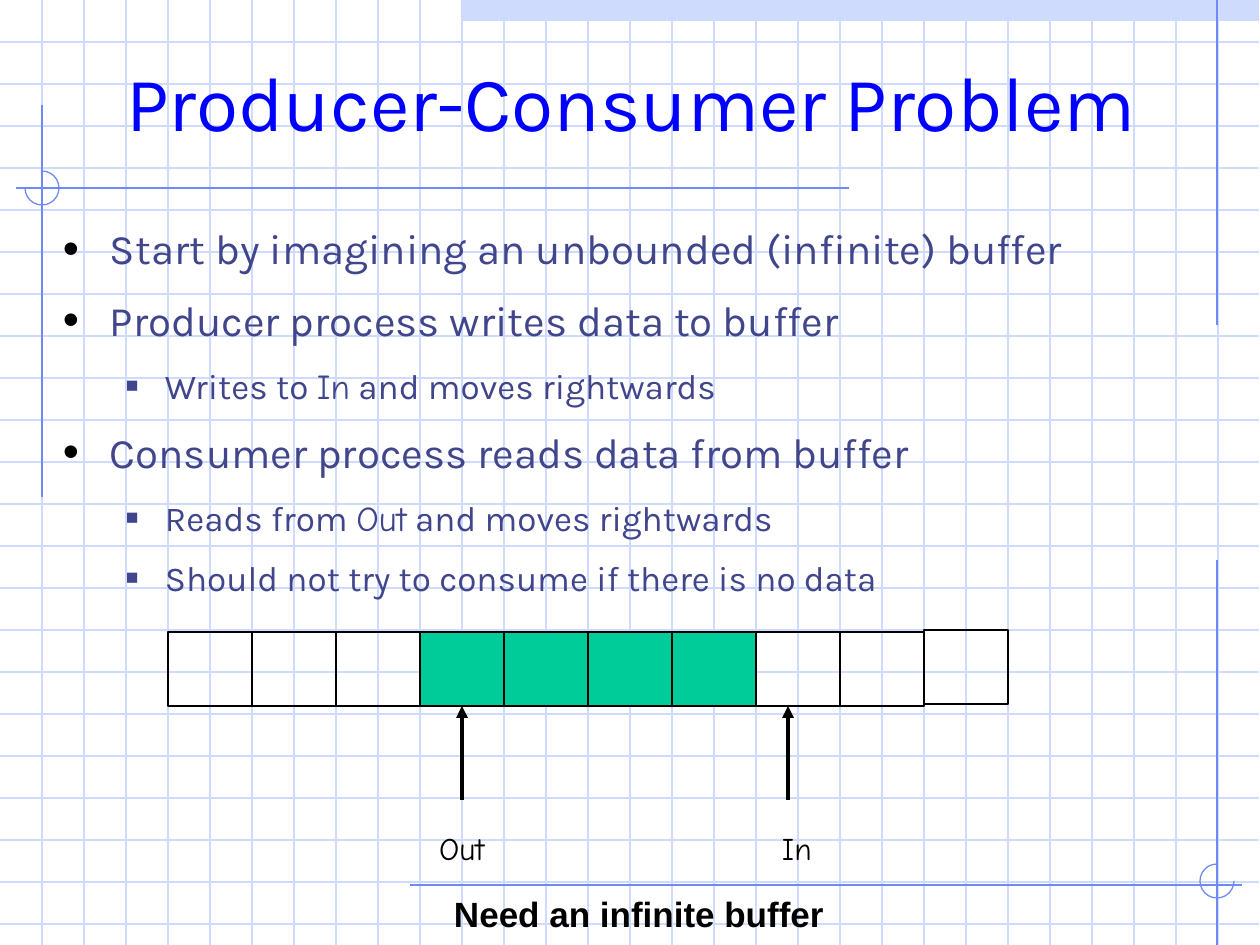
import pptx
import pptx.util
import pptx.dml.color
import pptx.enum.shapes
import pptx.enum.text
import pptx.oxml.ns
import lxml.etree

SCALE = 914400 / 126
SHAPE = pptx.enum.shapes.MSO_SHAPE
ANCHOR = pptx.enum.text.MSO_ANCHOR
BLACK, GRID, RULE, TEXT, FULL = "000000", "CFDBFD", "6F89F7", "40458C", "00CC99"

TITLE = "Producer-Consumer Problem"
BULLETS = [
    (0, ["Start by imagining an unbounded (infinite) buffer"]),
    (0, ["Producer process writes data to buffer"]),
    (1, ["Writes to ", "In", " and moves rightwards"]),
    (0, ["Consumer process reads data from buffer"]),
    (1, ["Reads from ", "Out", " and moves rightwards"]),
    (1, ["Should not try to consume if there is no data"]),
]
LEVELS = [
    dict(size=24, before=8, after=3, bullet=("•", BLACK, 110, 47, 47)),
    dict(size=20, before=7, after=2.5, bullet=("■", TEXT, 60, 102, 39)),
]
RULES = [
    (1217, 0, 1217, 325), (42, 105, 42, 497), (849, 188, 16, 188),
    (410, 885, 1242, 885), (1217, 560, 1217, 955),
]
ARCS = [(25, 171, 270, 180), (1200, 864, 0, 270)]
CELLS = [False] * 3 + [True] * 4 + [False] * 3
CELL_X, CELL_Y, CELL_W, CELL_H = 168, 632, 84, 74
LAST_RISE = 2
ARROW_FOOT = 800
LABELS = [
    ("Out", (426, 810, 71, 63), dict(size=18, font="Comic Neue")),
    ("In", (769, 810, 54, 63), dict(size=18, font="Comic Neue")),
    ("Need an infinite buffer", (441, 872, 396, 69), dict(size=20, font="Arial", bold=True)),
]


def px(n):
    return pptx.util.Emu(round(n * SCALE))


def rgb(color):
    return pptx.dml.color.RGBColor.from_string(color)


def child(parent, tag, **attrs):
    return lxml.etree.SubElement(parent, pptx.oxml.ns.qn(tag), attrs)


def add_line(s, x1, y1, x2, y2, color, width=0.75, arrow=False):
    c = s.shapes.add_connector(
        pptx.enum.shapes.MSO_CONNECTOR.STRAIGHT, px(x1), px(y1), px(x2), px(y2))
    c.line.color.rgb = rgb(color)
    c.line.width = pptx.util.Pt(width)
    if arrow:
        child(c.line._get_or_add_ln(), "a:tailEnd", type="triangle")
    child(c._element.spPr, "a:effectLst")
    return c


def add_shape(s, kind, x, y, w, h, fill=None, line=None):
    sp = s.shapes.add_shape(kind, px(x), px(y), px(w), px(h))
    sp.shadow.inherit = False
    if fill:
        sp.fill.solid()
        sp.fill.fore_color.rgb = rgb(fill)
    else:
        sp.fill.background()
    if line:
        sp.line.color.rgb = rgb(line)
        sp.line.width = pptx.util.Pt(0.75)
    else:
        sp.line.fill.background()
    return sp


def set_frame(sp, margins=(0, 0), wrap=True, anchor=ANCHOR.TOP):
    tf = sp.text_frame
    tf.margin_left = tf.margin_right = px(margins[0])
    tf.margin_top = tf.margin_bottom = px(margins[1])
    tf.word_wrap = wrap
    tf.auto_size = pptx.enum.text.MSO_AUTO_SIZE.NONE
    tf.vertical_anchor = anchor
    return tf


def write(p, text, size=20, font="Karla", alt="Comic Neue", color=BLACK, bold=False,
          spacing=1.04, before=0, after=0, bullet=None):
    p.alignment = pptx.enum.text.PP_ALIGN.LEFT
    p.line_spacing = spacing
    p.space_before = pptx.util.Pt(before)
    p.space_after = pptx.util.Pt(after)
    if bullet:
        mark, mark_color, percent, left, hang = bullet
        pPr = p._p.get_or_add_pPr()
        pPr.set("marL", str(px(left)))
        pPr.set("indent", str(-px(hang)))
        child(child(pPr, "a:buClr"), "a:srgbClr", val=mark_color)
        child(pPr, "a:buSzPct", val=str(percent * 1000))
        child(pPr, "a:buFont", typeface="Arial")
        child(pPr, "a:buChar", char=mark)
    for i, part in enumerate([text] if isinstance(text, str) else text):
        r = p.add_run()
        r.text = part
        r.font.size = pptx.util.Pt(size)
        r.font.name = alt if i % 2 else font
        r.font.bold = bold
        r.font.color.rgb = rgb(color)


def add_background(s):
    add_shape(s, SHAPE.RECTANGLE, 461, 0, 798, 21, fill=GRID)
    for y in range(42, 945, 42):
        add_line(s, 0, y, 1259, y, GRID)
    for x in range(42, 1259, 42):
        add_line(s, x, 0, x, 945, GRID)
    for ends in RULES:
        add_line(s, *ends, RULE)
    for x, y, start, end in ARCS:
        arc = add_shape(s, SHAPE.ARC, x, y, 34, 34, line=RULE)
        arc.adjustments[0] = start * 0.6
        arc.adjustments[1] = end * 0.6


def add_text(s):
    title = s.shapes.title
    title.left, title.top, title.width, title.height = px(126), px(0), px(1071), px(198)
    title._element.getparent().append(title._element)
    tf = set_frame(title, anchor=ANCHOR.MIDDLE)
    write(tf.paragraphs[0], TITLE, size=44, color="0000FF")

    body = s.shapes.add_textbox(px(63), px(221), px(1134), px(624))
    tf = set_frame(body)
    for i, (level, parts) in enumerate(BULLETS):
        p = tf.add_paragraph() if i else tf.paragraphs[0]
        p.level = level
        write(p, parts, color=TEXT, **LEVELS[level])


def add_buffer(s):
    last = len(CELLS) - 1
    cells = [
        add_shape(s, SHAPE.RECTANGLE, CELL_X + i * CELL_W,
                  CELL_Y - (LAST_RISE if i == last else 0), CELL_W, CELL_H,
                  fill=FULL if full else None, line=BLACK)
        for i, full in enumerate(CELLS)
    ]
    foot = CELL_Y + CELL_H
    first_full = CELLS.index(True)
    out_x = CELL_X + first_full * CELL_W + CELL_W // 2
    out = add_line(s, out_x, ARROW_FOOT, out_x, foot, BLACK, 2.25, arrow=True)
    out.end_connect(cells[first_full], 2)
    add_line(s, 788, ARROW_FOOT, 788, foot, BLACK, 2.25, arrow=True)
    for text, box, style in LABELS:
        tb = s.shapes.add_textbox(*map(px, box))
        tf = set_frame(tb, margins=(13, 6), wrap=False)
        write(tf.paragraphs[0], text, spacing=1.34, **style)


def main():
    prs = pptx.Presentation()
    prs.slide_width, prs.slide_height = px(1260), px(945)
    s = prs.slides.add_slide(prs.slide_layouts[5])
    add_background(s)
    add_text(s)
    add_buffer(s)
    prs.save("out.pptx")


if __name__ == "__main__":
    main()
